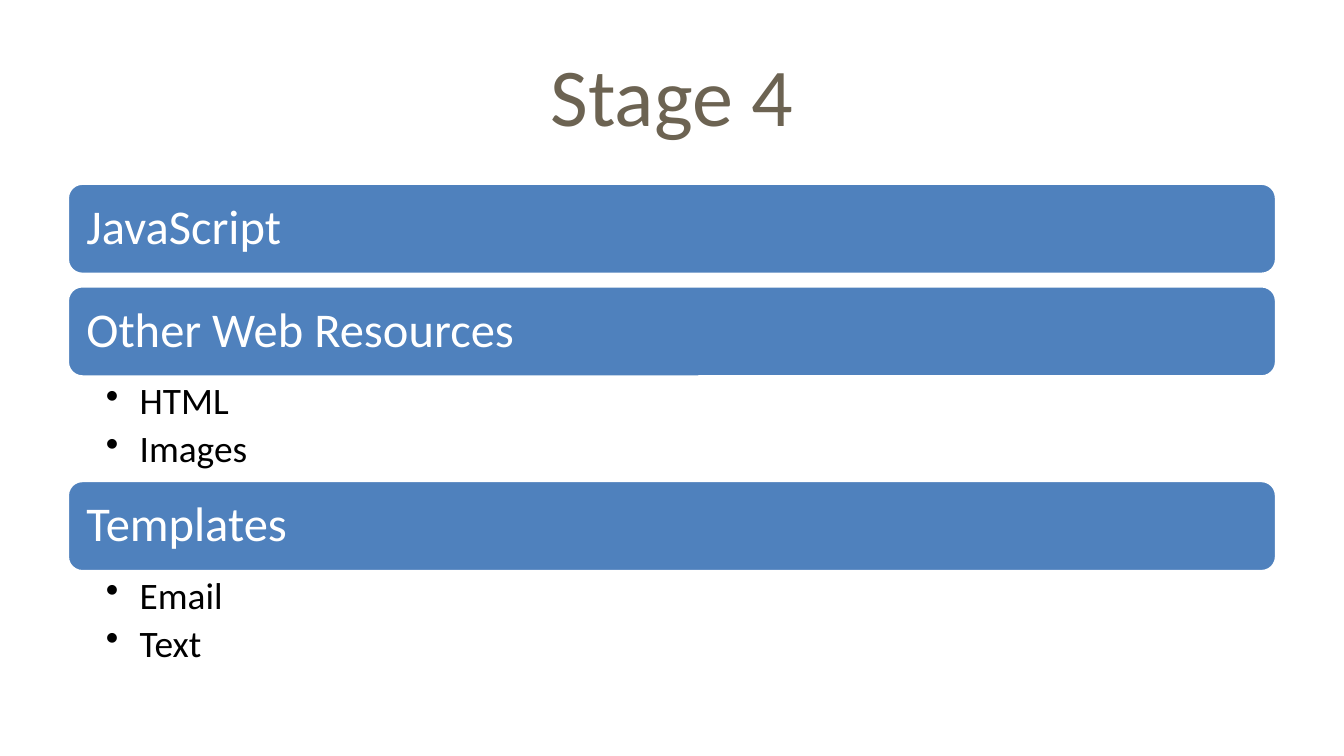
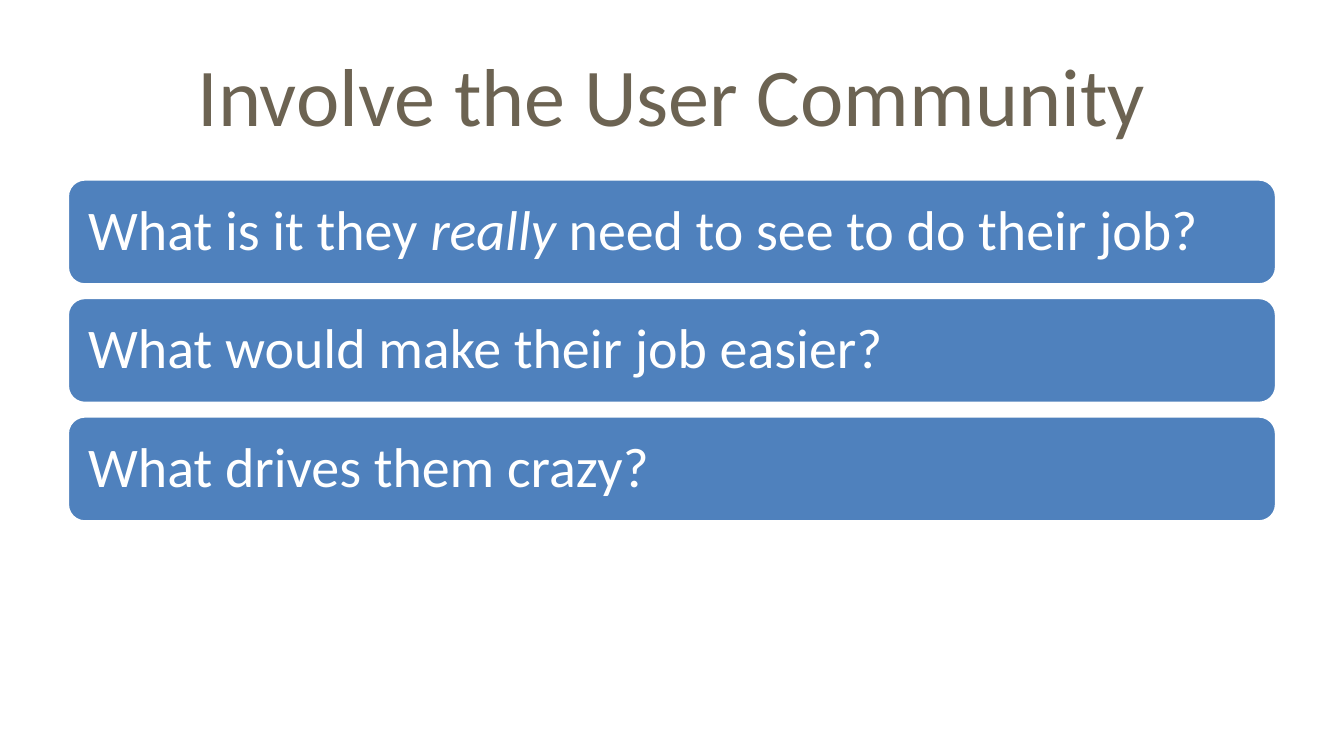
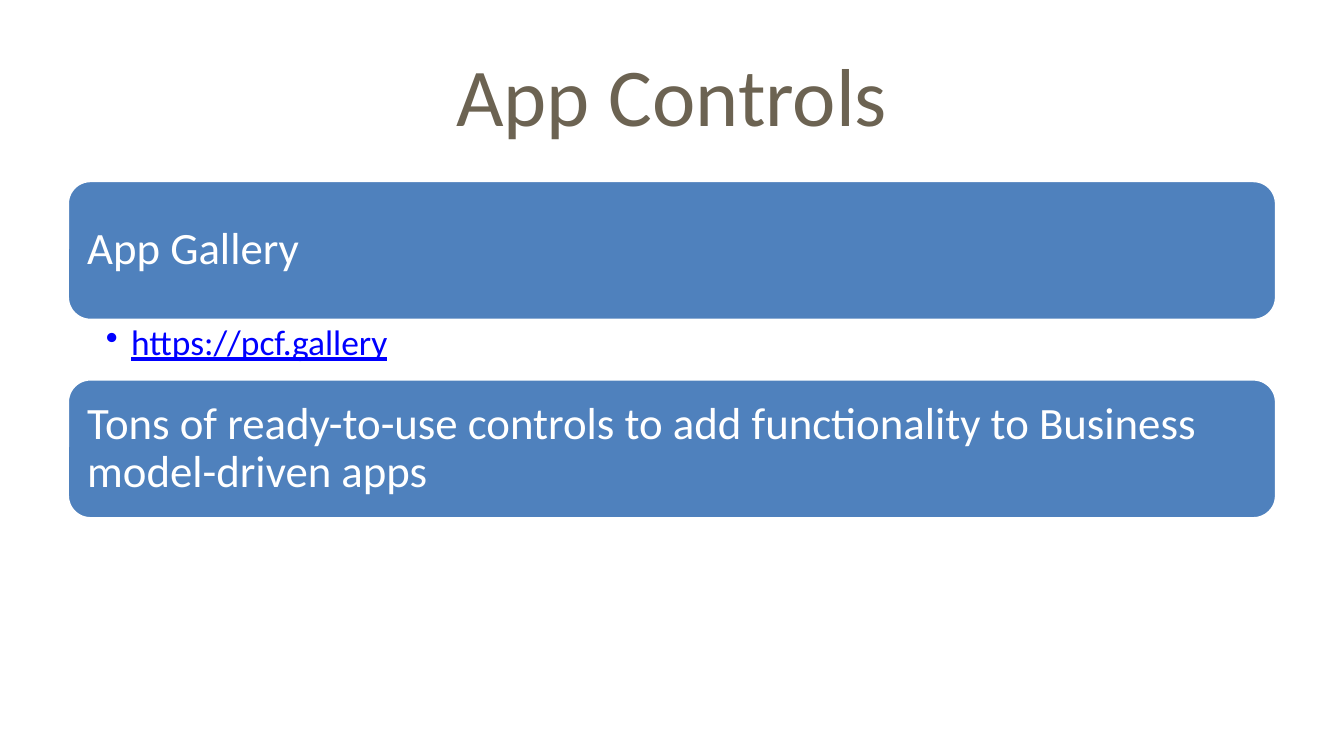
import lxml.etree
import pptx
import pptx.dml.color
import pptx.enum.shapes
import pptx.enum.text
import pptx.oxml.ns
import pptx.util

Cm = pptx.util.Cm
Pt = pptx.util.Pt
RGBColor = pptx.dml.color.RGBColor
Anchor = pptx.enum.text.MSO_ANCHOR
Align = pptx.enum.text.PP_ALIGN

# A pair of asterisks marks italic words. Lengths are in cm, sizes in points.
SLIDES = [
    {
        "title": "Stage 4",
        "bars": [
            ("JavaScript", []),
            ("Other Web Resources", ["HTML", "Images"]),
            ("Templates", ["Email", "Text"]),
        ],
        "top": 3.46, "bar": 1.73, "gap": 0.21, "list": 1.95,
        "size": 26, "inset": 0.28, "small": 20, "indent": 0.64, "pad": 0.1,
    },
    {
        "title": "Involve the User Community",
        "bars": [
            ("What is it they *really* need to see to do their job?", []),
            ("What would make their job easier?", []),
            ("What drives them crazy?", []),
        ],
        "top": 3.38, "bar": 2.01, "gap": 0.23,
        "size": 30, "inset": 0.3,
    },
    {
        "title": "App Controls",
        "bars": [
            ("App Gallery", ["https://pcf.gallery"]),
            ("Tons of ready-to-use controls to add functionality to Business "
             "model-driven apps", []),
        ],
        "top": 3.41, "bar": 2.65, "gap": 0.23, "list": 1.1,
        "size": 24, "inset": 0.25, "small": 19, "indent": 0.48, "pad": 0.08,
    },
]

FONT = "Calibri"
TAUPE = RGBColor(0x6C, 0x63, 0x52)
BLUE = RGBColor(0x4F, 0x81, 0xBD)
WHITE = RGBColor(0xFF, 0xFF, 0xFF)
BLACK = RGBColor(0, 0, 0)
LINK = RGBColor(0, 0, 0xFF)
LEFT, WIDTH = 1.27, 22.86


def style(para, size, color):
    for run in para.runs:
        run.font.name = FONT
        run.font.size = Pt(size)
        run.font.color.rgb = color


def fit(frame, left, top, right, low, anchor):
    """Wrap the text and set its margins and anchor."""
    frame.word_wrap = True
    frame.margin_left, frame.margin_top = Cm(left), Cm(top)
    frame.margin_right, frame.margin_bottom = Cm(right), Cm(low)
    frame.vertical_anchor = anchor


def add_box(slide, top, height):
    return slide.shapes.add_textbox(Cm(LEFT), Cm(top), Cm(WIDTH), Cm(height)).text_frame


def add_title(slide, text):
    frame = add_box(slide, 0.58, 2.38)
    fit(frame, 0.25, 0.13, 0.25, 0.13, Anchor.MIDDLE)
    frame.text = text
    para = frame.paragraphs[0]
    para.alignment = Align.CENTER
    style(para, 44, TAUPE)


def add_bar(slide, text, top, page):
    bar = slide.shapes.add_shape(
        pptx.enum.shapes.MSO_SHAPE.ROUNDED_RECTANGLE,
        Cm(LEFT), Cm(top), Cm(WIDTH), Cm(page["bar"]))
    bar.shadow.inherit = False
    bar.fill.solid()
    bar.fill.fore_color.rgb = BLUE
    bar.line.color.rgb = WHITE
    bar.line.width = Pt(2)
    fit(bar.text_frame, *[page["inset"]] * 4, Anchor.MIDDLE)
    para = bar.text_frame.paragraphs[0]
    para.alignment = Align.LEFT
    para.line_spacing = 0.9
    for i, part in enumerate(text.split("*")):
        run = para.add_run()
        run.text = part
        run.font.italic = i % 2 == 1
    style(para, page["size"], WHITE)


def add_bullet(para, indent):
    props = para._p.get_or_add_pPr()
    props.set("marL", str(Cm(indent)))
    props.set("indent", str(-Cm(indent)))
    mark = lxml.etree.SubElement(props, pptx.oxml.ns.qn("a:buChar"))
    mark.set("char", "•")


def add_list(slide, items, top, page):
    frame = add_box(slide, top, page["list"])
    fit(frame, 0.73, page["pad"], 0.5, page["pad"], Anchor.TOP)
    frame.text = "\n".join(items)
    for para, item in zip(frame.paragraphs, items):
        add_bullet(para, page["indent"])
        para.level = 1
        para.line_spacing = 0.9
        para.space_after = Pt(4)
        link = item.startswith("https:")
        style(para, page["small"], LINK if link else BLACK)
        para.runs[0].font.underline = link


def main():
    deck = pptx.Presentation()
    deck.slide_width, deck.slide_height = Cm(25.4), Cm(14.29)
    for page in SLIDES:
        slide = deck.slides.add_slide(deck.slide_layouts[6])
        add_title(slide, page["title"])
        top = page["top"]
        for text, items in page["bars"]:
            add_bar(slide, text, top, page)
            top += page["bar"]
            if items:
                add_list(slide, items, top, page)
            top += page["list"] if items else page["gap"]
    deck.save("out.pptx")


if __name__ == "__main__":
    main()
